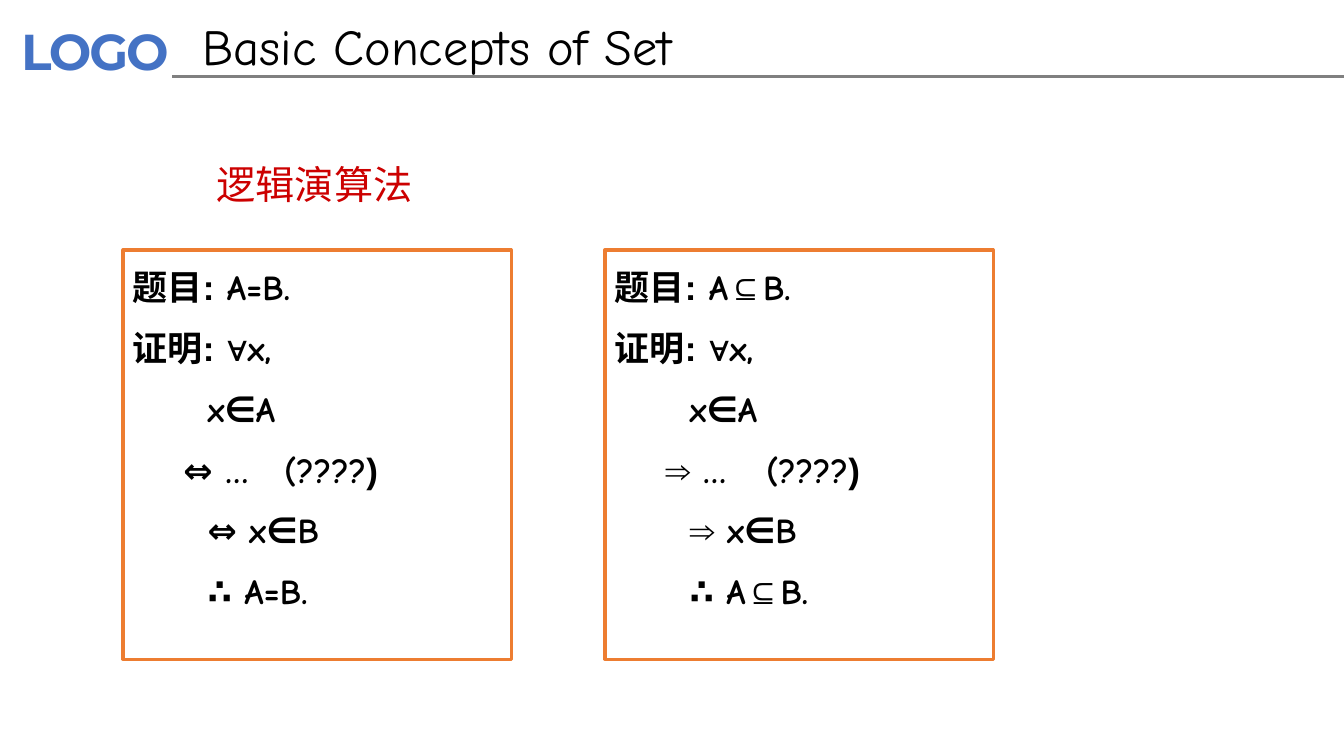
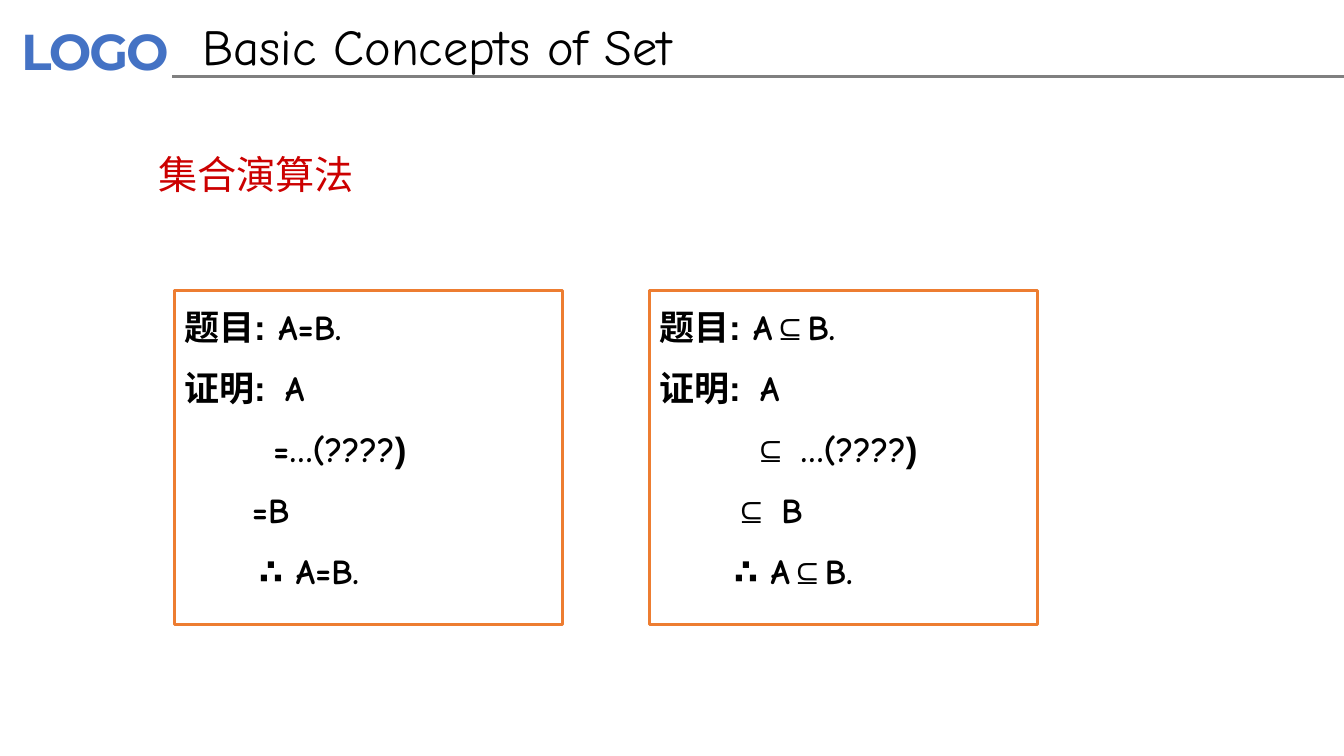
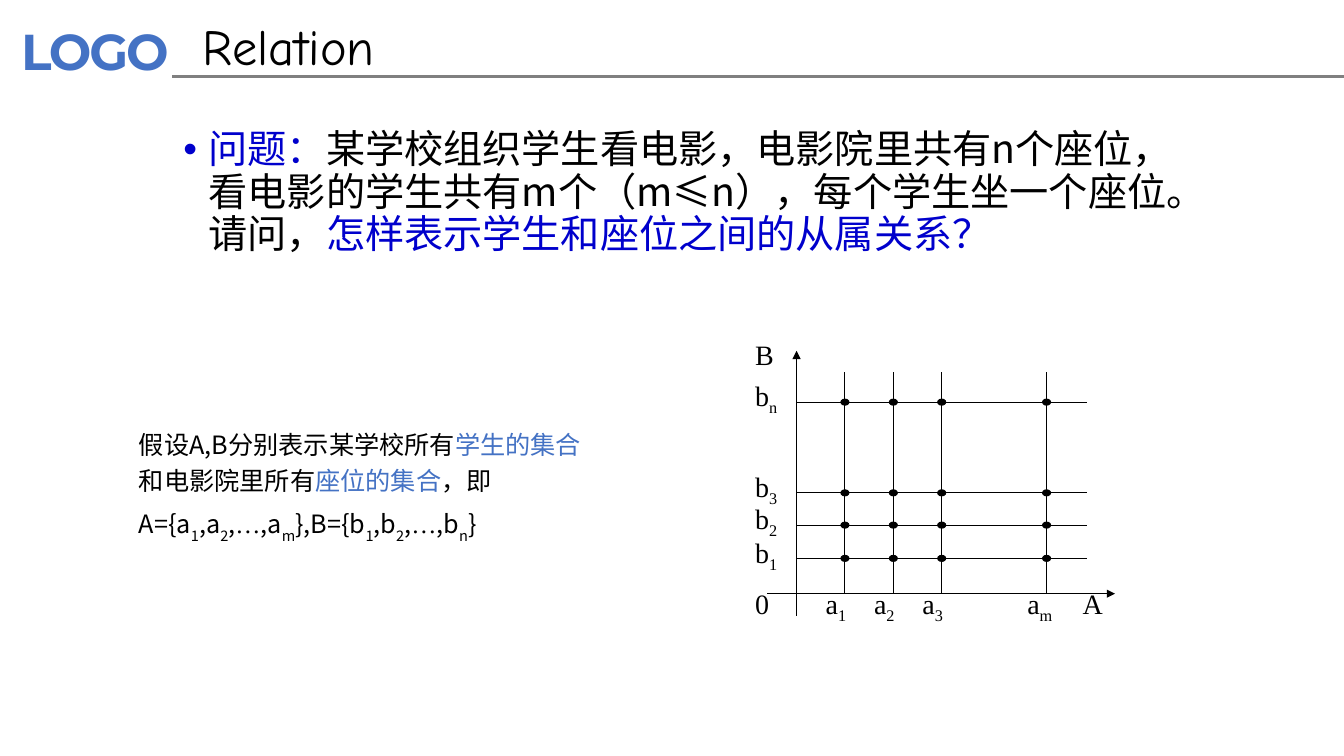
from itertools import groupby

from lxml.etree import SubElement
from pptx import Presentation
from pptx.dml.color import RGBColor
from pptx.enum.shapes import MSO_CONNECTOR, MSO_SHAPE
from pptx.enum.text import MSO_ANCHOR, PP_ALIGN
from pptx.oxml.ns import qn
from pptx.util import Inches, Pt

HAND, SANS, CJK, SERIF = "Comic Neue", "Arial", "Noto Sans CJK SC", "Times New Roman"
BLACK, GRAY, BLUE, ORANGE = "000000", "808080", "4472C4", "ED7D31"
RED, DEEP_BLUE = "CC0000", "0000CC"
SANS_CHARS = "题目证明:∀⊆⇒)"


def rgb(value):
    return RGBColor.from_string(value)


def set_face(font, face):
    font.name = face
    SubElement(font._rPr, qn("a:ea"), typeface=face)


def set_font(font, size, color=BLACK, face=None, bold=False):
    font.size = Pt(size)
    font.bold = bold
    font.color.rgb = rgb(color)
    if face:
        set_face(font, face)


def add_run(paragraph, text):
    run = paragraph.add_run()
    run.text = text
    return run


def set_spacing(paragraph, line, before):
    paragraph.line_spacing = line
    paragraph.space_before = Pt(before)


def set_indent(paragraph, left, first=0, stops=(), bullet=None):
    properties = paragraph._p.get_or_add_pPr()
    properties.set("marL", str(Inches(left)))
    properties.set("indent", str(Inches(first)))
    if bullet:
        SubElement(properties, qn("a:buFont"), typeface=SANS)
        SubElement(properties, qn("a:buChar"), char=bullet)
    if stops:
        tabs = SubElement(properties, qn("a:tabLst"))
        for stop in stops:
            SubElement(tabs, qn("a:tab"), pos=str(Inches(stop)), algn="l")


def add_text(slide, left, top, width, height, text=""):
    frame = slide.shapes.add_textbox(*map(Inches, (left, top, width, height))).text_frame
    frame.word_wrap = True
    frame.text = text
    return frame


def add_line(slide, start, end, color=BLACK, weight=0.75, arrow=False):
    line = slide.shapes.add_connector(MSO_CONNECTOR.STRAIGHT, *map(Inches, start + end))
    line.line.color.rgb = rgb(color)
    line.line.width = Pt(weight)
    if arrow:
        SubElement(line.line._get_or_add_ln(), qn("a:tailEnd"), type="triangle")
    SubElement(line.element.spPr, qn("a:effectLst"))
    return line


def add_subscripted(paragraph, text, face, drop):
    first, *rest = text.split("_")
    chars = [(char, False) for char in first]
    for piece in rest:
        chars += [(char, i == 0) for i, char in enumerate(piece)]
    for (lowered, dots), group in groupby(chars, lambda c: (c[1], c[0] == "…")):
        run = add_run(paragraph, "".join(char for char, _ in group))
        set_face(run.font, SERIF if dots else face)
        if lowered:
            run.font._rPr.set("baseline", str(-drop * 1000))


def add_header(slide, layout):
    for placeholder in list(layout.placeholders):
        if placeholder.placeholder_format.idx:
            layout.shapes.element.remove(placeholder.element)
    logo = add_text(slide, 0.08, 0.13, 1.86, 0.74, "LOGO")
    logo.margin_left = logo.margin_right = Inches(0.13)
    logo.margin_top = logo.margin_bottom = Inches(0.07)
    set_font(logo.paragraphs[0].font, 36, BLUE, "Montserrat", True)
    logo.paragraphs[0].runs[0].font._rPr.set("spc", "-150")
    rule = add_line(slide, (1.71, 0.76), (13.33, 0.76), GRAY, 2)
    for part in (slide.shapes[-2], rule):
        layout.shapes.element.append(part.element)


def add_slide(deck, heading):
    slide = deck.slides.add_slide(deck.slide_layouts[5])
    title = slide.shapes.title
    title.left, title.top, title.width, title.height = map(Inches, (1.91, 0.1, 6.3, 0.71))
    frame = title.text_frame
    frame.text = heading
    frame.vertical_anchor = MSO_ANCHOR.TOP
    frame.paragraphs[0].alignment = PP_ALIGN.LEFT
    set_font(frame.paragraphs[0].font, 36, BLACK, HAND)
    return slide


def add_method(slide, left, top, name):
    paragraph = add_text(slide, left, top, 9, 0.7, name).paragraphs[0]
    set_spacing(paragraph, 0.9, 10)
    set_font(paragraph.font, 28, RED, CJK)


def add_proof(slide, left, top, height, steps):
    box = slide.shapes.add_shape(
        MSO_SHAPE.RECTANGLE, *map(Inches, (left, top, 3.85, height)))
    box.shadow.inherit = False
    box.fill.background()
    box.line.color.rgb = rgb(ORANGE)
    box.line.width = Pt(2.25)
    frame = box.text_frame
    frame.vertical_anchor = MSO_ANCHOR.TOP
    for i, (text, indent, stops) in enumerate(steps):
        paragraph = frame.add_paragraph() if i else frame.paragraphs[0]
        paragraph.alignment = PP_ALIGN.LEFT
        set_spacing(paragraph, 1.25, 6)
        set_indent(paragraph, indent, stops=stops)
        set_font(paragraph.font, 25, bold=True)
        for sans, chars in groupby(text, lambda char: char in SANS_CHARS):
            set_face(add_run(paragraph, "".join(chars)).font, SANS if sans else HAND)


def logic_steps(relation, arrow):
    return [
        (f"题目: A{relation}B.", 0, ()),
        ("证明: ∀x,", 0, ()),
        ("x∈A", 0.74, ()),
        (f"\t{arrow} …\t(????)", 0, (0.74, 2)),
        (f"{arrow} x∈B", 0.74, ()),
        (f"∴ A{relation}B.", 0.74, ()),
    ]


def set_steps(relation, gap, start, reason, result):
    return [
        (f"题目: A{relation}B.", 0, ()),
        ("证明:\tA", 0, (start,)),
        (f"{relation}{gap}…(????)", reason, ()),
        (f"{relation}{gap}B", result, ()),
        (f"∴ A{relation}B.", 0.74, ()),
    ]


def add_question(slide):
    paragraph = add_text(slide, 1.72, 1.24, 10.18, 1.74).paragraphs[0]
    set_spacing(paragraph, 0.9, 10)
    set_indent(paragraph, 0.25, -0.25, bullet="•")
    set_font(paragraph.font, 28, DEEP_BLUE, CJK)
    for text, color in (
        ("问题：", DEEP_BLUE),
        ("某学校组织学生看电影，电影院里共有n个座位，看电影的学生共有m个（m≤n），"
         "每个学生坐一个座位。请问，", BLACK),
        ("怎样表示学生和座位之间的从属关系？", DEEP_BLUE),
    ):
        add_run(paragraph, text).font.color.rgb = rgb(color)


def add_assumption(slide):
    frame = add_text(slide, 1.28, 3.3, 4.66, 3)
    frame.vertical_anchor = MSO_ANCHOR.MIDDLE
    sentence, sets = frame.paragraphs[0], frame.add_paragraph()
    for paragraph in (sentence, sets):
        set_spacing(paragraph, 1.2, 4)
    set_font(sentence.font, 18, BLACK, CJK)
    set_font(sets.font, 18)
    for text, color in (
        ("假设A,B分别表示某学校所有", BLACK),
        ("学生的集合", BLUE),
        ("和电影院里所有", BLACK),
        ("座位的集合", BLUE),
        ("，即", BLACK),
    ):
        add_run(sentence, text).font.color.rgb = rgb(color)
    add_subscripted(sets, "A={a_1,a_2,…,a_m},B={b_1,b_2,…,b_n}", CJK, 30)


def add_label(slide, left, top, text):
    paragraph = add_text(slide, left, top, 0.78, 0.52).paragraphs[0]
    set_font(paragraph.font, 20)
    add_subscripted(paragraph, text, SERIF, 25)


def add_dot(slide, x, y):
    dot = slide.shapes.add_shape(
        MSO_SHAPE.OVAL, *map(Inches, (x - 0.04, y - 0.03, 0.08, 0.06)))
    dot.shadow.inherit = False
    dot.fill.solid()
    dot.fill.fore_color.rgb = rgb(BLACK)
    dot.line.color.rgb = rgb(BLACK)
    dot.line.width = Pt(0.75)


def add_grid(slide):
    students = {"a_1": 8.38, "a_2": 8.86, "a_3": 9.34, "a_m": 10.38}
    seats = {"b_1": 5.54, "b_2": 5.21, "b_3": 4.89, "b_n": 3.99}
    label_left, label_top = 7.39, 5.77
    add_line(slide, (7.61, 5.89), (11.06, 5.89), arrow=True)
    add_line(slide, (7.9, 6.11), (7.9, 3.48), arrow=True)
    for seat, y in seats.items():
        add_line(slide, (7.9, y), (10.78, y))
        add_label(slide, label_left, y - 0.28, seat)
    for student, x in students.items():
        add_line(slide, (x, 5.88), (x, 3.69))
        add_label(slide, x - 0.29, label_top, student)
        for y in seats.values():
            add_dot(slide, x, y)
    add_label(slide, 10.64, label_top, "A")
    add_label(slide, label_left, 3.3, "B")
    add_label(slide, label_left, label_top, "0")


def main():
    deck = Presentation()
    deck.slide_width, deck.slide_height = Inches(13.33), Inches(7.5)

    logic = add_slide(deck, "Basic Concepts of Set")
    add_header(logic, deck.slide_layouts[5])
    add_method(logic, 2.05, 1.59, "逻辑演算法")
    add_proof(logic, 1.22, 2.48, 4.06, logic_steps("=", "⇔"))
    add_proof(logic, 6, 2.48, 4.06, logic_steps("⊆", "⇒"))

    algebra = add_slide(deck, "Basic Concepts of Set")
    add_method(algebra, 1.47, 1.49, "集合演算法")
    add_proof(algebra, 1.73, 2.88, 3.32, set_steps("=", "", 1.09, 0.88, 0.67))
    add_proof(algebra, 6.44, 2.88, 3.32, set_steps("⊆", " ", 1.19, 0.93, 0.74))

    relation = add_slide(deck, "Relation")
    add_question(relation)
    add_assumption(relation)
    add_grid(relation)

    deck.save("out.pptx")


if __name__ == "__main__":
    main()
